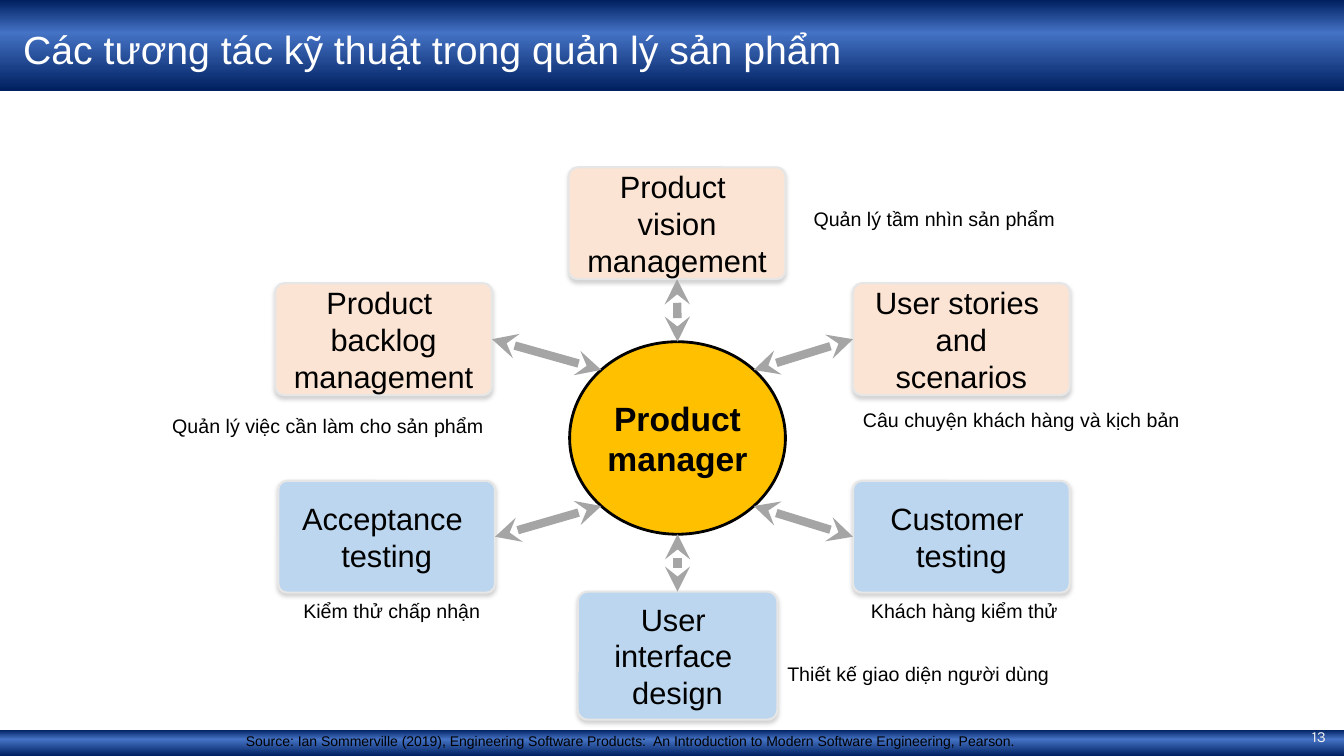
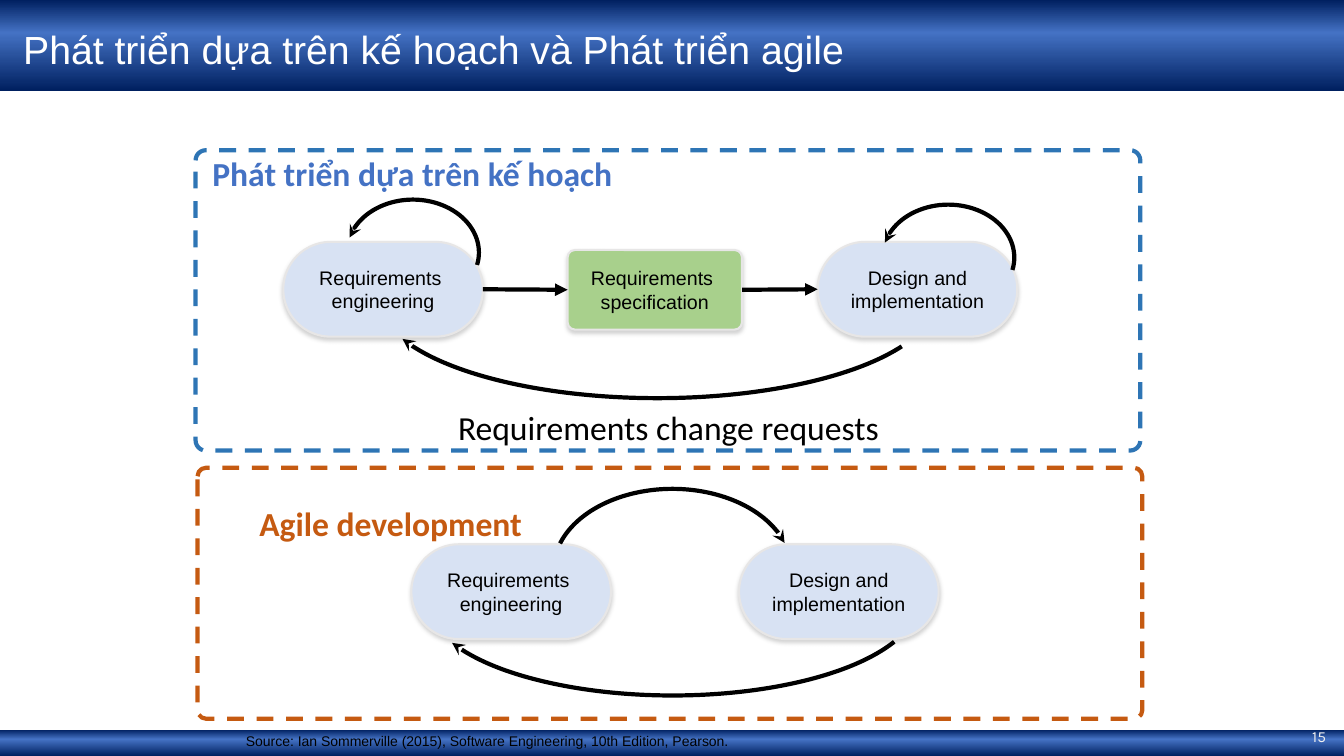
from copy import deepcopy
from dataclasses import dataclass
from math import cos, radians, sin

from lxml import etree
from pptx import Presentation
from pptx import util as u
from pptx.dml.color import RGBColor
from pptx.enum import dml, shapes, text
from pptx.oxml.ns import qn

SHAPE = shapes.MSO_SHAPE
ALIGN = text.PP_ALIGN
ANCHOR = text.MSO_ANCHOR
TOP, LEFT, BOTTOM, RIGHT = range(4)


@dataclass(frozen=True)
class Theme:
    # Colours
    navy: str = "002060"
    blue: str = "4472C4"
    white: str = "FFFFFF"
    black: str = "000000"
    pale_gray: str = "F2F2F2"
    edge: str = "E7E6E6"
    shadow: str = "808080"
    arrow: str = "A5A5A5"
    gold: str = "FFC000"
    peach: str = "FBE4D4"
    sky: str = "BBD6EE"
    green: str = "A8D08C"
    lavender: str = "D8E2F3"
    plan: str = "2E75B5"
    agile: str = "C55A11"
    # Fonts and type sizes
    sans: str = "Arial"
    heading: str = "Calibri"
    number: str = "Karla"
    title_size: int = 28
    label_size: int = 24
    box_size: int = 22
    note_size: int = 14
    number_size: int = 11
    source_size: int = 10


THEME = Theme()


def inches(*lengths):
    return [u.Inches(length) for length in lengths]


class SlideMaker:
    """Holds the deck, its theme and the current page."""

    def __init__(self, theme):
        self.theme = theme
        self.deck = Presentation()
        self.deck.slide_width, self.deck.slide_height = inches(13.33, 7.5)
        self.page = None

    def start_page(self, title, number, source):
        theme = self.theme
        self.page = self.deck.slides.add_slide(self.deck.slide_layouts[5])
        self.band(7.24, 0.26)
        top_band = self.band(0, 0.9)
        box = self.page.shapes.title
        top_band.element.addnext(box.element)
        box.left, box.top, box.width, box.height = inches(0.13, 0.12, 11.52, 0.78)
        box.text_frame.auto_size = text.MSO_AUTO_SIZE.NONE
        self.set_text(box, title, theme.title_size, theme.white,
                      align=ALIGN.LEFT, anchor=ANCHOR.MIDDLE)
        box.text_frame.paragraphs[0].line_spacing = 0.9
        self.label((12.2, 7.18, 1.05, 0.26), number, theme.number_size, theme.pale_gray,
                   font=theme.number, align=ALIGN.RIGHT, anchor=ANCHOR.MIDDLE)
        self.label((2.34, 7.22, 8.58, 0.28), source, theme.source_size)

    def set_text(self, box, words, size, color=None, font=None, bold=False,
                 align=ALIGN.LEFT, anchor=ANCHOR.TOP):
        frame = box.text_frame
        frame.word_wrap = True
        frame.vertical_anchor = anchor
        para = frame.paragraphs[0]
        para.text = words
        para.alignment = align
        para.font.size = u.Pt(size)
        para.font.name = font or self.theme.sans
        para.font.bold = bold
        para.font.color.rgb = RGBColor.from_string(color or self.theme.black)

    def label(self, at, words, size, color=None, **style):
        box = self.page.shapes.add_textbox(*inches(*at))
        self.set_text(box, words, size, color, **style)

    def shape(self, kind, at, fill=None, line=None, width=1.5, adjust=()):
        shape = self.page.shapes.add_shape(kind, *inches(*at))
        shape.shadow.inherit = False
        for index, value in enumerate(adjust):
            shape.adjustments[index] = value
        if fill:
            shape.fill.solid()
            shape.fill.fore_color.rgb = RGBColor.from_string(fill)
        else:
            shape.fill.background()
        if line:
            self.stroke(shape, line, width)
        else:
            shape.line.fill.background()
        return shape

    def stroke(self, item, color, width, head=None, tail=None):
        item.line.color.rgb = RGBColor.from_string(color)
        item.line.width = u.Pt(width)
        outline = item.element.spPr.find(qn("a:ln"))
        for tag, arrow in (("a:headEnd", head), ("a:tailEnd", tail)):
            if arrow:
                etree.SubElement(outline, qn(tag), type=arrow)

    def band(self, top, height):
        theme = self.theme
        band = self.shape(SHAPE.RECTANGLE, (0, top, 13.33, height))
        band.fill.gradient()
        band.fill.gradient_angle = 270
        stops = next(band.element.iter(qn("a:gsLst")))
        stops.insert(1, deepcopy(stops[0]))
        colors = ((0, theme.navy), (0.36, theme.blue), (1, theme.navy))
        for stop, (position, color) in zip(band.fill.gradient_stops, colors):
            stop.position = position
            stop.color.rgb = RGBColor.from_string(color)
        return band

    def node(self, kind, at, words, size, bold=False, **style):
        node = self.shape(kind, at, **style)
        frame = node.text_frame
        frame.margin_left = frame.margin_right = frame.margin_top = frame.margin_bottom = 0
        self.set_text(node, words, size, bold=bold, align=ALIGN.CENTER, anchor=ANCHOR.MIDDLE)
        return node

    def card(self, at, words, size, fill, corner):
        """A rounded box with a pale edge and a soft shadow."""
        card = self.node(SHAPE.ROUNDED_RECTANGLE, at, words, size, fill=fill,
                         line=self.theme.edge, adjust=(corner,))
        effects = card.element.spPr.find(qn("a:effectLst"))
        shadow = etree.SubElement(
            effects, qn("a:outerShdw"), blurRad=str(u.Pt(3.1)), dist=str(u.Pt(1.8)),
            dir="5400000", algn="t", rotWithShape="0")
        color = etree.SubElement(shadow, qn("a:srgbClr"), val=self.theme.shadow)
        etree.SubElement(color, qn("a:alpha"), val="35000")
        return card

    def connector(self, color, width, end, begin=None, start=(0, 0), head=None, tail=None):
        """Ends at a (shape, side); begins at another or at a start point."""
        line = self.page.shapes.add_connector(
            shapes.MSO_CONNECTOR.STRAIGHT, *inches(*start, *start))
        if begin:
            line.begin_connect(*begin)
        line.end_connect(*end)
        self.stroke(line, color, width, head, tail)
        etree.SubElement(line.element.spPr, qn("a:effectLst"))

    def arc(self, at, start, stop, head=None, tail=None):
        """A curved arrow; angles in degrees, clockwise from the right."""
        arc = self.shape(SHAPE.ARC, at, adjust=(start * 0.6, stop * 0.6))
        self.stroke(arc, self.theme.black, 3, head, tail)

    def dashed_frame(self, at, color):
        frame = self.shape(SHAPE.ROUNDED_RECTANGLE, at, line=color, width=3, adjust=(0.034,))
        frame.line.dash_style = dml.MSO_LINE.DASH


def interactions_page(maker):
    theme = maker.theme
    maker.start_page(
        "Các tương tác kỹ thuật trong quản lý sản phẩm", "13",
        "Source: Ian Sommerville (2019), Engineering Software Products:  "
        "An Introduction to Modern Software Engineering, Pearson.")

    # Hub
    left, top, width, height = hub = (5.65, 3.39, 2.14, 1.91)
    maker.node(SHAPE.OVAL, hub, "Product manager", theme.label_size, bold=True,
               fill=theme.gold, line=theme.black, width=2)

    # Activities: words, place, fill, angle on the hub, joined side, caption and its place
    side_size, low_size = (2.15, 1.11), (1.98, 1.27)
    activities = (
        ("Product \nbacklog management", (2.73, 2.81, *side_size), theme.peach, 225, RIGHT,
         "Quản lý việc cần làm cho sản phẩm", (1.61, 4.06, 3.3)),
        ("Product \nvision management", (5.64, 1.66, *side_size), theme.peach, 270, BOTTOM,
         "Quản lý tầm nhìn sản phẩm", (7.97, 2, 2.61)),
        ("Acceptance \ntesting", (2.76, 4.77, *side_size), theme.sky, 135, RIGHT,
         "Kiểm thử chấp nhận", (2.91, 5.89, 1.97)),
        ("User \ninterface \ndesign", (5.73, 5.87, *low_size), theme.sky, 90, TOP,
         "Thiết kế giao diện người dùng", (7.71, 6.52, 2.81)),
        ("Customer \ntesting", (8.46, 4.77, *side_size), theme.sky, 45, LEFT,
         "Khách hàng kiểm thử", (8.54, 5.89, 2.06)),
        ("User stories \n and \nscenarios", (8.46, 2.81, *side_size), theme.peach, 315, LEFT,
         "Câu chuyện khách hàng và kịch bản", (8.46, 4, 3.36)),
    )
    for words, at, fill, angle, side, caption, caption_at in activities:
        card = maker.card(at, words, theme.box_size, fill, 0.079)
        start = (left + width / 2 * (1 + cos(radians(angle))),
                 top + height / 2 * (1 + sin(radians(angle))))
        maker.connector(theme.arrow, 6, (card, side), start=start,
                        head="stealth", tail="stealth")
        maker.label((*caption_at, 0.34), caption, theme.note_size)


def approaches_page(maker):
    theme = maker.theme
    maker.start_page(
        "Phát triển dựa trên kế hoạch và Phát triển agile", "15",
        "Source: Ian Sommerville (2015), Software Engineering, 10th Edition, Pearson.")

    # Process steps
    requirements = "Requirements \nengineering"
    design = "Design and implementation"
    specification = maker.card((5.63, 2.48, 1.73, 0.79), "Requirements \nspecification",
                               theme.note_size, theme.green, 0.093)
    first, last, *_ = [
        maker.card((left, top, 1.98, 0.94), words, theme.note_size, theme.lavender, 0.5)
        for words, left, top in ((requirements, 2.81, 2.4), (design, 8.11, 2.4),
                                 (requirements, 4.08, 5.4), (design, 7.33, 5.4))]

    # Curved arrows
    maker.arc((5.49, 4.85, 2.36, 1.61), 193.31, 346.38, tail="stealth")
    maker.arc((4.23, 5.02, 4.88, 1.88), 10.49, 169.18, tail="stealth")
    maker.arc((3.75, 1.96, 5.54, 1.99), 11.23, 170.84, tail="stealth")
    for left, top in ((8.75, 2.03), (3.44, 1.98)):
        maker.arc((left, top, 1.31, 1.05), 193.31, 10.99, head="stealth")

    # Straight arrows
    for begin, end in ((first, specification), (specification, last)):
        maker.connector(theme.black, 3, (end, LEFT), begin=(begin, RIGHT), tail="triangle")

    # Labels and frames
    for words, at, color, bold in (
            ("Agile development", (2.46, 4.94, 2.83, 0.5), theme.agile, True),
            ("Phát triển dựa trên kế hoạch", (1.98, 1.47, 4.22, 0.5), theme.blue, True),
            ("Requirements change requests", (4.42, 3.99, 4.42, 0.5), theme.black, False)):
        maker.label(at, words, theme.label_size, color, font=theme.heading, bold=bold,
                    align=ALIGN.CENTER)
    maker.dashed_frame((1.94, 1.49, 9.37, 2.98), theme.plan)
    maker.dashed_frame((1.96, 4.64, 9.37, 2.49), theme.agile)


def main():
    maker = SlideMaker(THEME)
    interactions_page(maker)
    approaches_page(maker)
    maker.deck.save("out.pptx")


if __name__ == "__main__":
    main()
